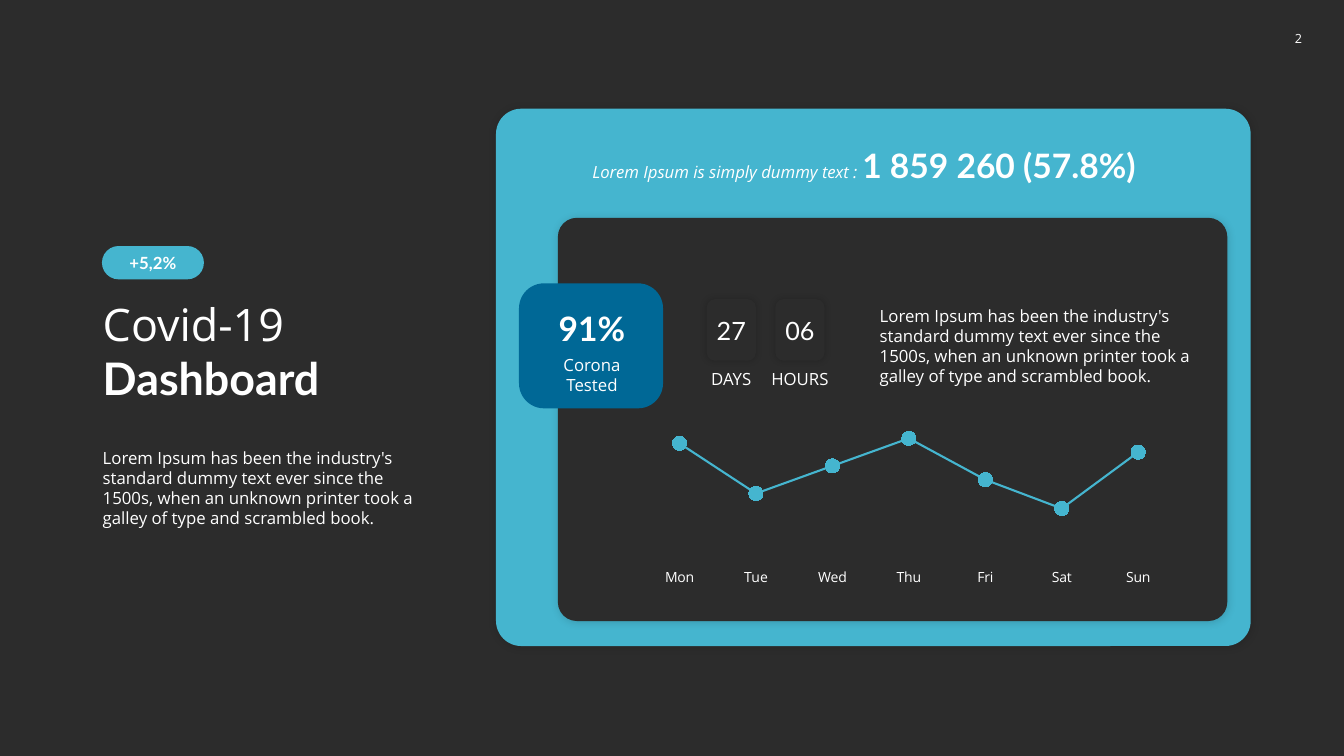
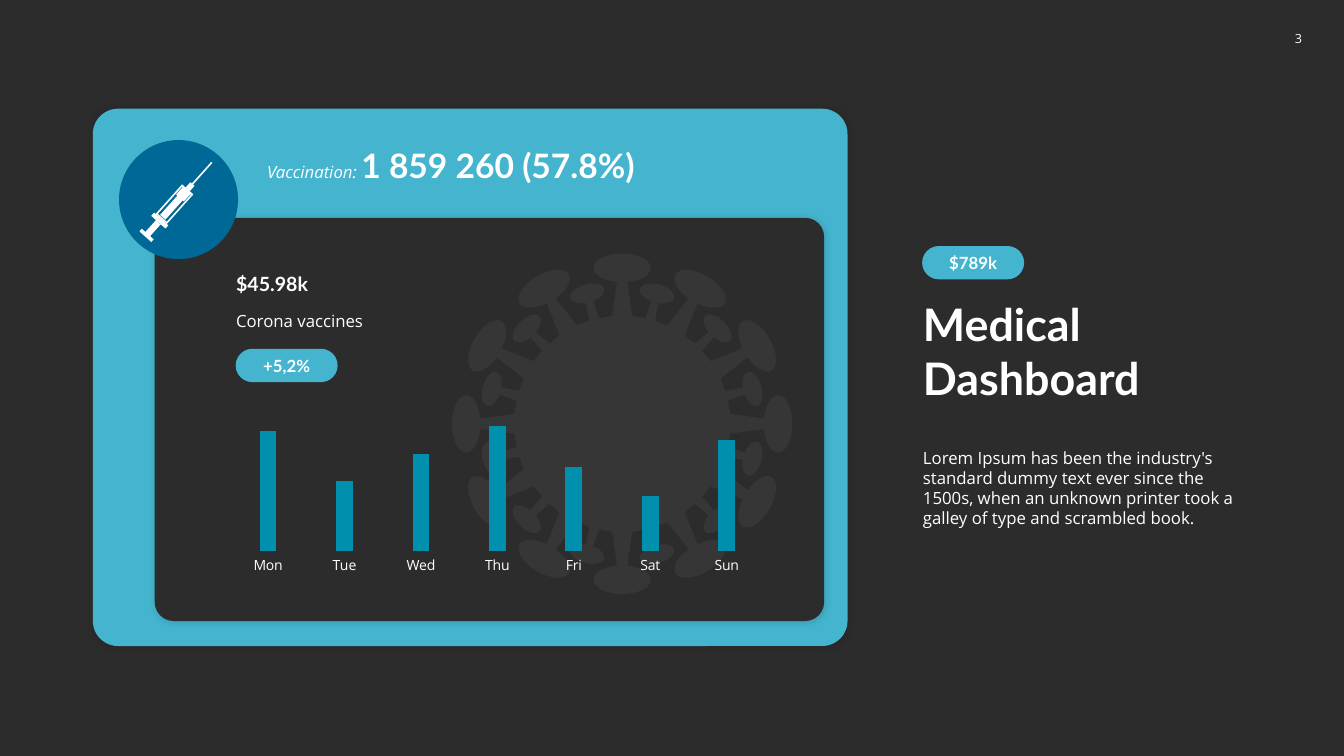
import math

import pptx
import pptx.chart.data
import pptx.dml.color
import pptx.enum.chart
import pptx.enum.shapes
import pptx.enum.text
import pptx.oxml
import pptx.oxml.ns
import pptx.util

Cm, Pt = pptx.util.Cm, pptx.util.Pt
SHAPE = pptx.enum.shapes.MSO_SHAPE
ALIGN = pptx.enum.text.PP_ALIGN
ANCHOR = pptx.enum.text.MSO_ANCHOR
CHART = pptx.enum.chart.XL_CHART_TYPE

DARK, SKY, NAVY, TEAL, WHITE = "2C2C2C", "45B5CF", "006896", "008FAC", "FFFFFF"

# style: font, size, bold, italic
STYLES = {
    "page": ("Open Sans", 9, False, False),
    "body": ("Open Sans", 12, False, False),
    "lead": ("Open Sans", 12, False, True),
    "badge": ("Lato", 12, True, False),
    "price": ("Lato", 14, True, False),
    "timer": ("Lato", 18, False, False),
    "figure": ("Lato", 24, True, False),
    "title": ("Open Sans", 32, False, False),
    "title bold": ("Lato", 32, True, False),
}

# shadow: opacity in percent, blur and distance in points
PANEL_SHADOW = (15, 6, 1)
TIMER_SHADOW = (20, 5, 0)
TILE_INSETS = (0, 0.13, 0, 0.13)

LOREM = ("Lorem Ipsum has been the industry's standard dummy text ever since the 1500s, "
         "when an unknown printer took a galley of type and scrambled book.")
FIGURE = ("1 859 260 (57.8%)", "figure")
GROWTH = "+5,2%"
WEEK = {"Mon": 96, "Tue": 56, "Wed": 78, "Thu": 100, "Fri": 67, "Sat": 44, "Sun": 89}
TIMERS = [("27", "DAYS"), ("06", "HOURS")]

COVID = {
    "page": "2", "panel_left": 12.5, "text_left": 2.34, "badge": GROWTH,
    "title": [("Covid-19 ", "title"), ("Dashboard", "title bold")],
    "headline": [("Lorem Ipsum is simply dummy text : ", "lead"), FIGURE],
    "headline_left": 14.68, "headline_width": 15.24,
}
MEDICAL = {
    "page": "3", "panel_left": 2.34, "text_left": 23.01, "badge": "$789k",
    "title": [("Medical Dashboard", "title bold")],
    "headline": [("Vaccination: ", "lead"), FIGURE],
    "headline_left": 6.48, "headline_width": 13.26,
}

# syringe blocks along its axis from the needle tip: start, end, half width
SYRINGE = [
    (0, 0.73, 0.02), (0.73, 0.9, 0.07),
    (0.91, 1.9, 0.19), (0.95, 1.87, 0.15),
    (0.96, 1.2, 0.13), (1.2, 1.85, 0.09),
    (1.91, 2.02, 0.24), (2.03, 2.42, 0.08), (2.42, 2.51, 0.2),
]
# virus spikes: cap distance, cap half width, cap half height, neck and base half widths
LONG_SPIKE = (3.93, 0.72, 0.36, 0.13, 0.25)
SHORT_SPIKE = (3.4, 0.44, 0.23, 0.09, 0.13)
VIRUS_RADIUS = 2.72


def color(hex_string):
    return pptx.dml.color.RGBColor.from_string(hex_string)


def paint(shape, fill, shadow=None):
    shape.fill.solid()
    shape.fill.fore_color.rgb = color(fill)
    shape.line.fill.background()
    shape.shadow.inherit = False
    if shadow:
        opacity, blur, distance = shadow
        effects = shape.element.spPr.find(pptx.oxml.ns.qn("a:effectLst"))
        effects.append(pptx.oxml.parse_xml(
            f'<a:outerShdw {pptx.oxml.ns.nsdecls("a")} blurRad="{Pt(blur)}" '
            f'dist="{Pt(distance)}" dir="2700000" algn="ctr" rotWithShape="0">'
            f'<a:srgbClr val="000000"><a:alpha val="{opacity * 1000}"/></a:srgbClr>'
            '</a:outerShdw>'))


def write(shape, runs, align=ALIGN.LEFT, anchor=ANCHOR.TOP, insets=None, wrap=True):
    frame = shape.text_frame
    frame.word_wrap = wrap
    frame.vertical_anchor = anchor
    if insets:
        (frame.margin_left, frame.margin_top,
         frame.margin_right, frame.margin_bottom) = map(Cm, insets)
    paragraph = frame.paragraphs[0]
    paragraph.alignment = align
    for text, style in runs:
        run = paragraph.add_run()
        run.text = text
        font = run.font
        font.name, size, font.bold, font.italic = STYLES[style]
        font.size = Pt(size)
        font.color.rgb = color(WHITE)


def add_text(slide, box, runs, **layout):
    write(slide.shapes.add_textbox(*map(Cm, box)), runs, **layout)


def add_block(slide, box, fill, kind=SHAPE.ROUNDED_RECTANGLE, corner=None, shadow=None):
    block = slide.shapes.add_shape(kind, *map(Cm, box))
    if corner is not None:
        block.adjustments[0] = corner
    paint(block, fill, shadow)
    return block


def add_tile(slide, box, text, style, wrap=True, shadow=None):
    tile = add_block(slide, box, DARK, shadow=shadow)
    write(tile, [(text, style)], ALIGN.CENTER, ANCHOR.MIDDLE, TILE_INSETS, wrap)


def add_badge(slide, left, top, text):
    badge = add_block(slide, (left, top, 2.57, 0.84), SKY, corner=0.5)
    write(badge, [(text, "badge")], ALIGN.CENTER, ANCHOR.MIDDLE, (0, 0, 0, 0))


def add_outline(slide, contours):
    """Draw closed contours, given as points in cm, as one freeform."""
    contours = [[(Cm(x), Cm(y)) for x, y in contour] for contour in contours]
    builder = slide.shapes.build_freeform(*contours[0][0])
    for index, contour in enumerate(contours):
        if index:
            builder.move_to(*contour[0])
        builder.add_line_segments(contour[1:], close=True)
    outline = builder.convert_to_shape()
    paint(outline, WHITE)
    return outline


def add_syringe(slide, center_x, center_y):
    left = center_x - SYRINGE[-1][1] / 2
    contours = [[(left + start, center_y - half), (left + end, center_y - half),
                 (left + end, center_y + half), (left + start, center_y + half)]
                for start, end, half in SYRINGE]
    add_outline(slide, contours).rotation = 131.8


def spike_points(distance, width, height, neck, base):
    """Outline of an upright spike as (sideways, outward) offsets from the centre."""
    opening = math.asin(neck / width)
    steps = 28
    angles = [opening + (2 * math.pi - 2 * opening) * i / steps for i in range(steps + 1)]
    cap = [(-width * math.sin(a), distance - height * math.cos(a)) for a in angles]
    return [(-base, VIRUS_RADIUS), *cap, (base, VIRUS_RADIUS)]


def add_virus(slide, center_x, center_y):
    points = []
    for index in range(24):
        turn = math.radians(15 * index)
        for side, out in spike_points(*(SHORT_SPIKE if index % 2 else LONG_SPIKE)):
            points.append((center_x + side * math.cos(turn) + out * math.sin(turn),
                           center_y + side * math.sin(turn) - out * math.cos(turn)))
    virus = add_outline(slide, [points])
    tint = virus.element.spPr.find(".//" + pptx.oxml.ns.qn("a:srgbClr"))
    tint.append(pptx.oxml.parse_xml(f'<a:alpha {pptx.oxml.ns.nsdecls("a")} val="5000"/>'))


def add_week_chart(slide, left, top, kind):
    data = pptx.chart.data.CategoryChartData()
    data.categories = list(WEEK)
    data.add_series("Series 1", list(WEEK.values()))
    chart = slide.shapes.add_chart(kind, *map(Cm, (left, top, 14.05, 4.27)), data).chart
    chart.has_legend = chart.has_title = False
    chart.font.name, chart.font.size = "Open Sans", Pt(12)
    chart.font.color.rgb = color(WHITE)

    values = chart.value_axis
    values.visible = values.has_major_gridlines = False
    values.minimum_scale, values.maximum_scale = 0, 100
    days = chart.category_axis
    days.major_tick_mark = pptx.enum.chart.XL_TICK_MARK.NONE
    days.format.line.fill.background()
    days.tick_labels.font.size = Pt(10)
    days.tick_labels.font.name = "Open Sans"
    days.tick_labels.font.color.rgb = color(WHITE)

    plot_area = chart.plots[0]._element.getparent()
    for layout in plot_area.findall(pptx.oxml.ns.qn("c:layout")):
        plot_area.remove(layout)
    plot_area.insert(0, pptx.oxml.parse_xml(
        f'<c:layout {pptx.oxml.ns.nsdecls("c")}><c:manualLayout>'
        '<c:layoutTarget val="inner"/><c:xMode val="edge"/><c:yMode val="edge"/>'
        '<c:x val="0.02"/><c:y val="0.1"/><c:w val="0.96"/><c:h val="0.74"/>'
        '</c:manualLayout></c:layout>'))
    chart.plots[0].vary_by_categories = False
    return chart.plots[0]


def add_dashboard(deck, content):
    """Add a slide with the parts that both dashboards share."""
    slide = deck.slides.add_slide(deck.slide_layouts[6])
    slide.background.fill.solid()
    slide.background.fill.fore_color.rgb = color(DARK)
    panel, text = content["panel_left"], content["text_left"]

    add_block(slide, (panel, 2.74, 19.02, 13.54), SKY, corner=0.047, shadow=PANEL_SHADOW)
    add_tile(slide, (32.23, 0.47, 0.99, 0.99), content["page"], "page", wrap=False)
    add_text(slide, (text, 7.32, 8.53, 3), content["title"], anchor=ANCHOR.BOTTOM)
    add_text(slide, (text, 11.15, 8.53, 2.31), [(LOREM, "body")])
    add_badge(slide, text + 0.23, 6.2, content["badge"])
    add_block(slide, (panel + 1.56, 5.49, 16.87, 10.16), DARK, corner=0.047,
              shadow=PANEL_SHADOW)
    add_text(slide, (content["headline_left"], 3.53, content["headline_width"], 1.27),
             content["headline"])
    return slide


def add_covid_slide(deck):
    slide = add_dashboard(deck, COVID)
    add_block(slide, (13.08, 7.14, 3.63, 3.15), NAVY, corner=0.2)
    add_text(slide, (13.36, 7.62, 3.12, 1.27), [("91%", "figure")],
             align=ALIGN.CENTER, anchor=ANCHOR.BOTTOM)
    add_text(slide, (13.36, 8.81, 3.12, 1.27), [("Corona Tested", "body")],
             align=ALIGN.CENTER)

    tile_width, label_width, step = 1.24, 1.7, 1.73
    for index, (number, unit) in enumerate(TIMERS):
        left = 17.81 + index * step
        add_tile(slide, (left, 7.54, tile_width, 1.55), number, "timer",
                 shadow=TIMER_SHADOW)
        label_left = left - (label_width - tile_width) / 2
        add_text(slide, (label_left, 9.17, label_width, 0.76), [(unit, "body")],
                 align=ALIGN.CENTER, insets=(0.1, 0.13, 0.1, 0.13))
    add_text(slide, (21.92, 7.57, 8.53, 2.31), [(LOREM, "body")])

    trend = add_week_chart(slide, 15.88, 10.62, CHART.LINE_MARKERS_STACKED).series[0]
    trend.smooth = False
    trend.format.line.color.rgb = color(SKY)
    trend.format.line.width = Pt(1.5)
    trend.marker.style = pptx.enum.chart.XL_MARKER_STYLE.CIRCLE
    trend.marker.size = 10
    trend.marker.format.fill.solid()
    trend.marker.format.fill.fore_color.rgb = color(SKY)
    trend.marker.format.line.fill.background()


def add_medical_slide(deck):
    slide = add_dashboard(deck, MEDICAL)
    add_block(slide, (3, 3.53, 3, 3), NAVY, kind=SHAPE.OVAL)
    add_syringe(slide, 4.5, 5.03)
    add_text(slide, (5.7, 6.71, 12.73, 0.86), [("$45.98k", "price")],
             anchor=ANCHOR.BOTTOM)
    add_text(slide, (5.7, 7.7, 12.73, 0.76), [("Corona vaccines", "body")])
    add_badge(slide, 5.94, 8.79, GROWTH)
    add_virus(slide, 15.68, 10.68)

    columns = add_week_chart(slide, 5.51, 10.31, CHART.COLUMN_CLUSTERED)
    columns.gap_width, columns.overlap = 360, -30
    bars = columns.series[0].format.fill
    bars.solid()
    bars.fore_color.rgb = color(TEAL)


def main():
    deck = pptx.Presentation()
    deck.slide_width, deck.slide_height = Cm(33.87), Cm(19.05)
    add_covid_slide(deck)
    add_medical_slide(deck)
    deck.save("out.pptx")


if __name__ == "__main__":
    main()
